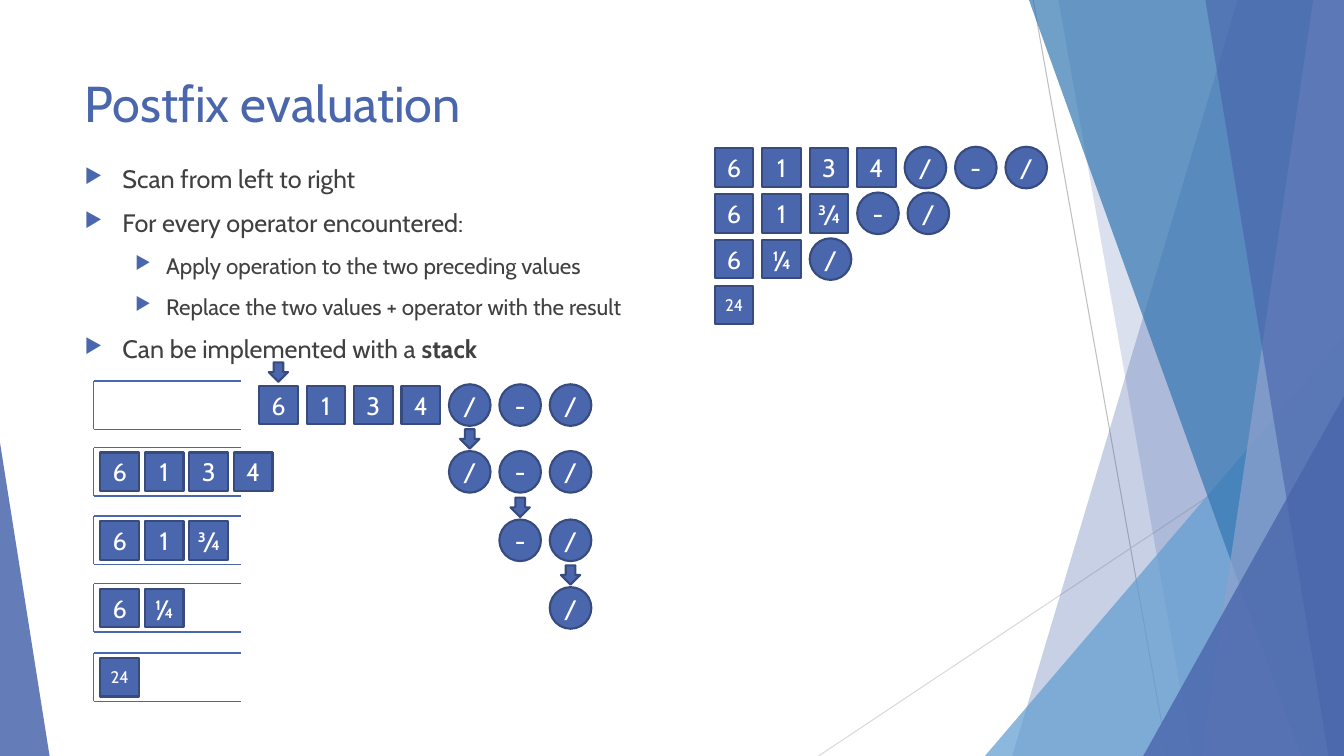
from lxml import etree
from pptx import Presentation
from pptx.dml.color import RGBColor
from pptx.enum.shapes import MSO_CONNECTOR, MSO_SHAPE
from pptx.enum.text import MSO_ANCHOR, PP_ALIGN
from pptx.oxml.ns import qn
from pptx.util import Emu, Pt

RECT, OVAL = MSO_SHAPE.RECTANGLE, MSO_SHAPE.OVAL
ARROW, TRIANGLE = MSO_SHAPE.DOWN_ARROW, MSO_SHAPE.ISOSCELES_TRIANGLE
STRAIGHT = MSO_CONNECTOR.STRAIGHT
TOP, MIDDLE = MSO_ANCHOR.TOP, MSO_ANCHOR.MIDDLE
LEFT, CENTER = PP_ALIGN.LEFT, PP_ALIGN.CENTER

COLORS = {
    "blue": "4A66AC", "edge": "374B7F", "sky": "629DD1", "ocean": "3477B2",
    "haze": "90A2CF", "text": "404040", "white": "FFFFFF",
    "grey": "BFBFBF", "pale": "D9D9D9",
}
FONT = "Cabin"
COLS, ROWS = 32, 18
UNIT = 381000  # one square grid cell in EMU

OPERATORS = "/-"
SQUARE, CIRCLE, ARROW_SIZE = 0.92, 0.99, 0.46
SQUARE_STEP, CIRCLE_STEP, STACK_STEP = 1.13, 1.2, 1.06
STACK_X, STACK_W, STACK_H = 2.23, 3.5, 1.15
QUEUE_END = 14.29


def grid(n):
    return Emu(round(n * UNIT))


def color(name):
    return RGBColor.from_string(COLORS[name])


def advance(token):
    return CIRCLE_STEP if token in OPERATORS else SQUARE_STEP


def write(p, text, size=18, fill="text", bold=False, align=LEFT):
    p.alignment = align
    r = p.add_run()
    r.text = text
    r.font.name, r.font.size, r.font.bold = FONT, Pt(size), bold
    r.font.color.rgb = color(fill)


def add_bullet(p, indent, hang):
    pPr = p._p.get_or_add_pPr()
    pPr.set("marL", str(grid(indent)))
    pPr.set("indent", str(-grid(hang)))
    clr = etree.SubElement(pPr, qn("a:buClr"))
    etree.SubElement(clr, qn("a:srgbClr"), val=COLORS["blue"])
    etree.SubElement(pPr, qn("a:buSzPct"), val="80000")
    etree.SubElement(pPr, qn("a:buChar"), char="▶")


class SlideBuilder:
    """Draws on one blank slide, with all lengths in grid cells."""

    def __init__(self):
        self.prs = Presentation()
        self.prs.slide_width, self.prs.slide_height = grid(COLS), grid(ROWS)
        self.s = self.prs.slides.add_slide(self.prs.slide_layouts[6])

    def paint(self, sp, fill, opacity=100, edge=None):
        sp.shadow.inherit = False
        sp.fill.solid()
        sp.fill.fore_color.rgb = color(fill)
        if opacity < 100:
            clr = sp.fill._xPr.find(qn("a:solidFill"))[0]
            etree.SubElement(clr, qn("a:alpha"), val=str(opacity * 1000))
        if edge:
            sp.line.color.rgb = color(edge)
            sp.line.width = Pt(1.5)
        else:
            sp.line.fill.background()

    def shape(self, kind, x, y, w, h, fill="blue", **style):
        sp = self.s.shapes.add_shape(kind, *map(grid, (x, y, w, h)))
        self.paint(sp, fill, **style)
        return sp

    def band(self, top_x, bottom_x, fill, opacity):
        """Fill from a slanted left edge to the right side of the slide."""
        fb = self.s.shapes.build_freeform(grid(top_x), 0)
        corners = [(COLS, 0), (COLS, ROWS), (bottom_x, ROWS)]
        fb.add_line_segments([(grid(x), grid(y)) for x, y in corners])
        self.paint(fb.convert_to_shape(), fill, opacity)

    def triangle(self, x, y, w, apex, fill, opacity):
        """Stand a right triangle on the bottom of the slide."""
        sp = self.shape(TRIANGLE, x, y, w, ROWS - y, fill, opacity=opacity)
        sp.adjustments[0] = apex

    def line(self, x1, y1, x2, y2, stroke="blue", width=1):
        c = self.s.shapes.add_connector(STRAIGHT, *map(grid, (x1, y1, x2, y2)))
        c.line.color.rgb = color(stroke)
        c.line.width = Pt(width)
        etree.SubElement(c._element.spPr, qn("a:effectLst"))

    def text_box(self, x, y, w, h):
        tf = self.s.shapes.add_textbox(*map(grid, (x, y, w, h))).text_frame
        tf.word_wrap = True
        tf.vertical_anchor = TOP
        return tf

    def bullets(self, x, y, w, h, items):
        tf = self.text_box(x, y, w, h)
        for i, (level, runs) in enumerate(items):
            p = tf.add_paragraph() if i else tf.paragraphs[0]
            p.level = level
            p.space_before = Pt(10)
            for text, bold in runs:
                write(p, text, size=16 if level else 18, bold=bold)
            add_bullet(p, *((1.94, 0.74) if level else (0.9, 0.9)))

    def token(self, text, x, mid):
        kind, size = (OVAL, CIRCLE) if text in OPERATORS else (RECT, SQUARE)
        sp = self.shape(kind, x, mid - size / 2, size, size, edge="edge")
        tf = sp.text_frame
        tf.margin_left = tf.margin_right = tf.margin_top = tf.margin_bottom = 0
        tf.word_wrap = False
        tf.vertical_anchor = MIDDLE
        write(tf.paragraphs[0], text, size=12 if len(text) > 1 else 18,
              fill="white", align=CENTER)

    def expression(self, tokens, x, mid):
        for token in tokens:
            self.token(token, x, mid)
            x += advance(token)

    def stack(self, tokens, y):
        """Draw a stack, open on the right, with its values."""
        right, bottom = STACK_X + STACK_W, y + STACK_H
        self.line(STACK_X, y, STACK_X, bottom)
        for edge_y in (y, bottom):
            self.line(STACK_X, edge_y, right, edge_y)
        for i, token in enumerate(tokens):
            self.token(token, 2.39 + i * STACK_STEP, y + STACK_H / 2)

    def queue(self, tokens, y):
        """Draw the unread tokens with an arrow above the next one."""
        x = QUEUE_END - sum(map(advance, tokens))
        self.expression(tokens, x, y + STACK_H / 2)
        size = CIRCLE if tokens[0] in OPERATORS else SQUARE
        self.shape(ARROW, x + (size - ARROW_SIZE) / 2, y - 0.44,
                   ARROW_SIZE, ARROW_SIZE, edge="edge")


def draw_backdrop(b):
    b.line(24.6, 0, 27.8, ROWS, "grey", 0.75)
    b.line(COLS, 9.67, 19.49, ROWS, "pale", 0.75)
    b.band(29.47, 24.1, "blue", 30)
    b.band(25.2, 28.39, "blue", 20)
    b.triangle(23.45, 8, 8.55, 1, "sky", 72)
    b.band(24.5, 30.98, "ocean", 70)
    b.band(31.27, 28.61, "haze", 70)
    b.band(28.7, 31.63, "blue", 65)
    b.triangle(27.22, 9.43, 4.78, 1, "blue", 80)
    b.triangle(0, 10.54, 1.18, 0, "blue", 85)


def main():
    b = SlideBuilder()
    draw_backdrop(b)
    title = b.text_box(1.78, 1.61, 22.56, 1.92)
    write(title.paragraphs[0], "Postfix evaluation", size=36, fill="blue")
    b.bullets(1.78, 3.77, 20.23, 12.1, [
        (0, [("Scan from left to right", False)]),
        (0, [("For every operator encountered:", False)]),
        (1, [("Apply operation to the two preceding values", False)]),
        (1, [("Replace the two values + operator with the result", False)]),
        (0, [("Can be implemented with a ", False), ("stack", True)]),
    ])

    reductions = ["6 1 3 4 / - /", "6 1 ¾ - /", "6 ¼ /", "24"]
    for i, tokens in enumerate(reductions):
        b.expression(tokens.split(), 17.02, 3.99 + i * 1.09)

    steps = [  # top, stack, unread tokens
        (9.07, "", "6 1 3 4 / - /"),
        (10.66, "6 1 3 4", "/ - /"),
        (12.29, "6 1 ¾", "- /"),
        (13.9, "6 ¼", "/"),
        (15.55, "24", ""),
    ]
    for y, values, unread in steps:
        b.stack(values.split(), y)
        if unread:
            b.queue(unread.split(), y)
    b.prs.save("out.pptx")


if __name__ == "__main__":
    main()
